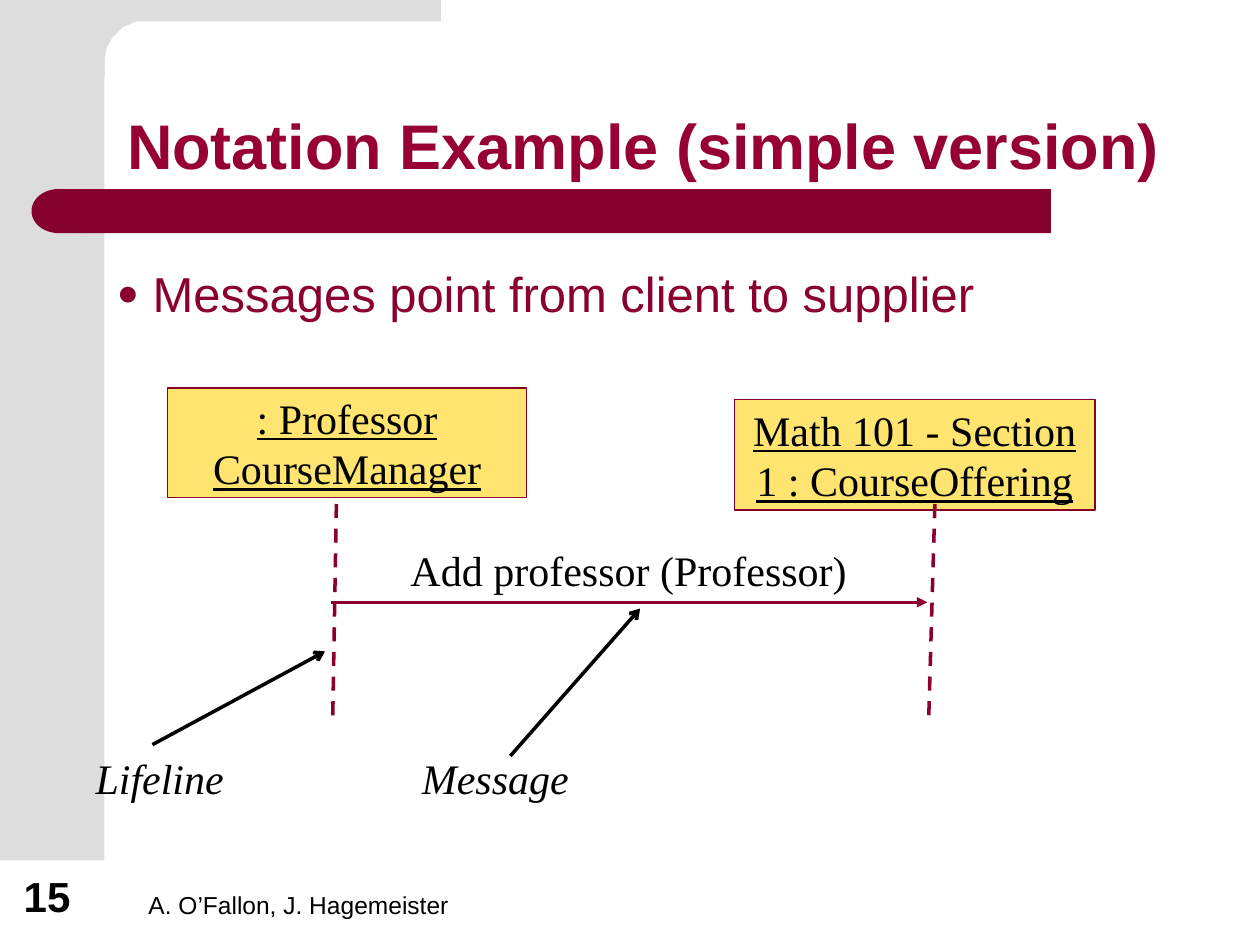
from math import cos, pi, sin

from lxml.etree import SubElement
from pptx import Presentation
from pptx.dml.color import RGBColor
from pptx.enum.dml import MSO_LINE as Dash
from pptx.enum.shapes import MSO_CONNECTOR as Link, MSO_SHAPE as Kind
from pptx.enum.text import MSO_ANCHOR as Anchor, PP_ALIGN as Align
from pptx.oxml.ns import qn
from pptx.util import Pt

SCALE = 9144  # EMU per px, 100 px to the inch


def px(*nums):
    return [n * SCALE for n in nums]


def color(code):
    return RGBColor.from_string(code)


def bullet(para, code, indent):
    props = para._p.get_or_add_pPr()
    props.set("marL", str(indent * SCALE))
    props.set("indent", str(-indent * SCALE))
    tint = SubElement(props, qn("a:buClr"))
    SubElement(tint, qn("a:srgbClr"), val=code)
    SubElement(props, qn("a:buSzPct"), val="75000")
    SubElement(props, qn("a:buFont"), typeface="Arial")
    SubElement(props, qn("a:buChar"), char="●")


def write(shape, text, size=24, font="Times New Roman", ink="000000",
          bold=False, italic=False, under=False, align=Align.LEFT,
          anchor=Anchor.TOP, wrap=True, gap=None, dot=None):
    frame = shape.text_frame
    frame.word_wrap = wrap
    frame.vertical_anchor = anchor
    for i, line in enumerate(text.split("\n")):
        para = frame.add_paragraph() if i else frame.paragraphs[0]
        para.alignment = align
        if gap:
            para.line_spacing = gap
        if dot:
            bullet(para, ink, dot)
        run = para.add_run()
        run.text = line
        face = run.font
        face.name, face.size = font, Pt(size)
        face.bold, face.italic, face.underline = bold, italic, under
        face.color.rgb = color(ink)


class Board:
    gray = "DDDDDD"
    wine = "86002D"
    plum = "8A002E"
    gold = "FFE46F"
    black = "000000"

    def __init__(self, slide):
        self.shapes = slide.shapes

    def paint(self, shape, fill, edge=None):
        shape.shadow.inherit = False
        shape.fill.solid()
        shape.fill.fore_color.rgb = color(fill)
        if edge:
            shape.line.color.rgb = color(edge)
            shape.line.width = Pt(1)
        else:
            shape.line.fill.background()
        return shape

    def block(self, kind, box, fill, edge=None):
        return self.paint(self.shapes.add_shape(kind, *px(*box)), fill, edge)

    def outline(self, points, fill):
        pen = self.shapes.build_freeform(*points[0], scale=SCALE)
        pen.add_line_segments(points[1:], close=True)
        return self.paint(pen.convert_to_shape(), fill)

    def text(self, box, words, **style):
        write(self.shapes.add_textbox(*px(*box)), words, **style)

    def object(self, box, words):
        shape = self.block(Kind.RECTANGLE, box, self.gold, self.wine)
        write(shape, words, under=True, align=Align.CENTER,
              anchor=Anchor.MIDDLE, wrap=False)

    def line(self, ends, ink, dash=None, head=None):
        link = self.shapes.add_connector(Link.STRAIGHT, *px(*ends))
        link.line.color.rgb = color(ink)
        link.line.width = Pt(2)
        if dash:
            link.line.dash_style = dash
        if head:
            SubElement(link.line._get_or_add_ln(), qn("a:tailEnd"), type=head)
        SubElement(link._element.spPr, qn("a:effectLst"))


def main():
    deck = Presentation()
    deck.slide_width, deck.slide_height = px(1000, 750)
    board = Board(deck.slides.add_slide(deck.slide_layouts[6]))

    # Gray side band with its rounded inner corner
    board.block(Kind.RECTANGLE, (0, 0, 83, 683), board.gray)
    turns = [pi / 2 * i / 12 for i in range(13)]
    curve = [(round(113 - 30 * sin(t)), round(50 - 33 * cos(t)))
             for t in turns]
    board.outline([(350, 0), (350, 17), *curve, (83, 61), (50, 61), (50, 0)],
                  board.gray)

    # Wine bar under the title
    bar = board.block(Kind.ROUNDED_RECTANGLE, (67, 150, 767, 35), board.wine)
    bar.adjustments[0] = 0
    cap = board.block(Kind.FLOWCHART_DELAY, (25, 150, 43, 35), board.wine)
    cap.rotation = 180

    # Footer
    board.text((108, 683, 375, 52), "A. O’Fallon, J. Hagemeister",
               size=14, font="Arial", anchor=Anchor.BOTTOM)
    board.text((9, 683, 64, 53), "15", size=24, font="Arial", bold=True,
               anchor=Anchor.BOTTOM)

    # Title and bullet
    board.text((91, 41, 851, 109), "Notation Example (simple version)",
               size=36, font="Arial", ink="960032", bold=True,
               anchor=Anchor.BOTTOM, gap=0.9)
    board.text((83, 204, 841, 403), " Messages point from client to supplier",
               size=28, font="Arial", ink=board.plum, dot=13)

    # Objects and their lifelines
    board.object((133, 308, 285, 87), ": Professor\nCourseManager")
    board.object((583, 317, 286, 88), "Math 101 - Section\n1 : CourseOffering")
    for ends in ((267, 400, 264, 576), (742, 400, 737, 574)):
        board.line(ends, board.plum, dash=Dash.DASH)

    # Message between them
    board.line((263, 478, 736, 478), board.plum, head="triangle")
    board.text((316, 427, 366, 50), "Add professor (Professor)", wrap=False)

    # Callouts
    for box, words, ends in (
            ((66, 592, 122, 50), "Lifeline", (121, 591, 258, 517)),
            ((325, 592, 137, 50), "Message", (405, 600, 508, 483))):
        board.text(box, words, italic=True, wrap=False)
        board.line(ends, board.black, head="arrow")

    deck.save("out.pptx")


if __name__ == "__main__":
    main()
